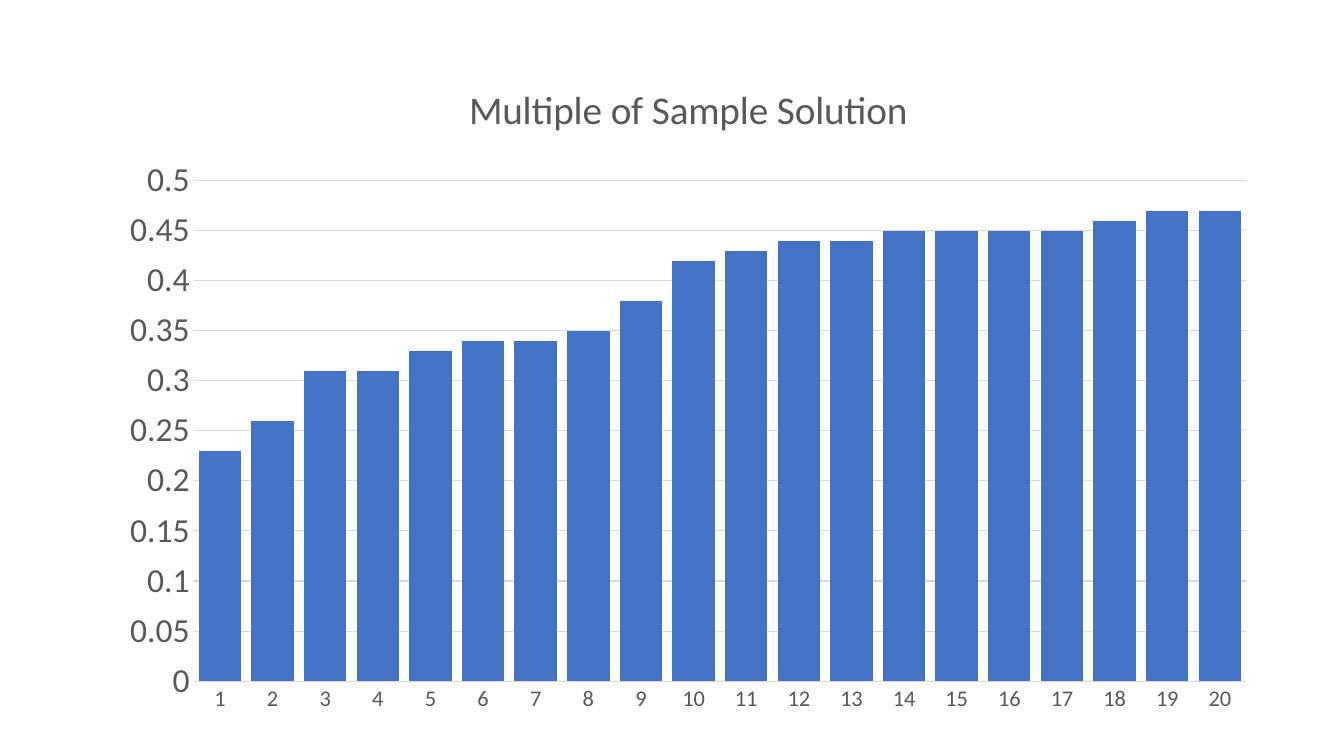
from pptx import Presentation
from pptx.chart.data import CategoryChartData as ChartData
from pptx.dml.color import RGBColor
from pptx.enum.chart import XL_CHART_TYPE as Kind, XL_TICK_MARK as Tick
from pptx.util import Inches, Pt

TITLE = "Multiple of Sample Solution"
SERIES = "Series 1"
VALUES = [
    0.23, 0.26, 0.31, 0.31, 0.33, 0.34, 0.34, 0.35, 0.38, 0.42,
    0.43, 0.44, 0.44, 0.45, 0.45, 0.45, 0.45, 0.46, 0.47, 0.47,
]
BOX = (1.06, 0.57, 11.53, 6.63)
FONT = "Calibri"
BLUE = RGBColor(0x44, 0x72, 0xC4)
GRAY = RGBColor(0x59, 0x59, 0x59)
PALE = RGBColor(0xD9, 0xD9, 0xD9)


def style(font, size, color=GRAY):
    font.name = FONT
    font.size = Pt(size)
    font.bold = False
    font.color.rgb = color


def write(frame, text, **form):
    frame.text = text
    style(frame.paragraphs[0].runs[0].font, **form)


def rule(line):
    line.color.rgb = PALE
    line.width = Pt(0.75)


def main():
    deck = Presentation()
    deck.slide_width, deck.slide_height = Inches(13.33), Inches(7.5)
    slide = deck.slides.add_slide(deck.slide_layouts[6])

    data = ChartData()
    data.categories = [str(n) for n in range(1, len(VALUES) + 1)]
    data.add_series(SERIES, VALUES)
    place = [Inches(n) for n in BOX]
    chart = slide.shapes.add_chart(Kind.COLUMN_CLUSTERED, *place, data).chart
    style(chart.font, 10, RGBColor(0, 0, 0))
    chart.has_legend = False
    chart.has_title = True
    write(chart.chart_title.text_frame, TITLE, size=28)
    chart.chart_title.include_in_layout = False

    plot = chart.plots[0]
    plot.gap_width, plot.overlap = 24, -27
    plot.vary_by_categories = False
    fill = plot.series[0].format.fill
    fill.solid()
    fill.fore_color.rgb = BLUE

    base, scale = chart.category_axis, chart.value_axis
    for axis, size in ((base, 16), (scale, 24)):
        axis.major_tick_mark = axis.minor_tick_mark = Tick.NONE
        style(axis.tick_labels.font, size)
    rule(base.format.line)
    scale.format.line.fill.background()
    scale.minimum_scale, scale.maximum_scale = 0, 0.5
    scale.major_unit = 0.05
    scale.has_major_gridlines = True
    rule(scale.major_gridlines.format.line)

    deck.save("out.pptx")


if __name__ == "__main__":
    main()
